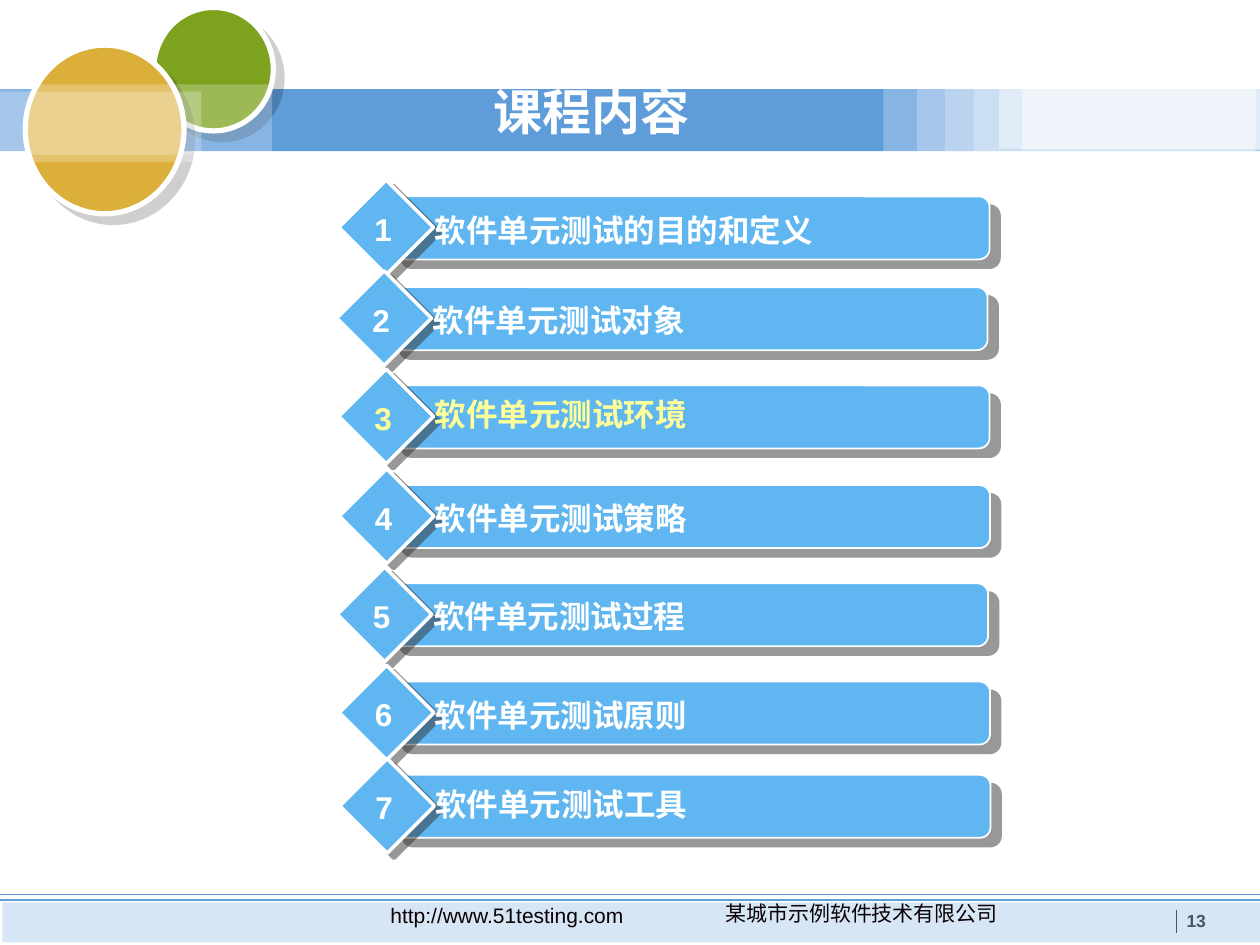
import pptx
import pptx.dml.color
import pptx.enum.shapes
import pptx.enum.text
import pptx.oxml
import pptx.oxml.ns
import pptx.util
from lxml import etree

Cm = pptx.util.Cm
Pt = pptx.util.Pt
Kind = pptx.enum.shapes.MSO_SHAPE
Align = pptx.enum.text.PP_ALIGN
Fit = pptx.enum.text.MSO_AUTO_SIZE
qn = pptx.oxml.ns.qn

COLOURS = {
    "white": "FFFFFF", "band": "5E9CDA", "green": "7CA21E", "gold": "DCAE3A",
    "item": "5FB6F1", "current": "FFFF99", "footer": "0B0104",
    "number": "4A565E", "black": "000000", "shade": "333333",
}
DISC_SHADOW = ("black", 19, 7.1, 45)
BAR_SHADOW = ("shade", 50, 7.8, 40)
DIAMOND_SHADOW = ("shade", 50, 5, 37)

ITEMS = [
    (6.83, 3.63, "软件单元测试的目的和定义", {}),
    (6.79, 5.46, "软件单元测试对象", {"width": 10.62}),
    (6.83, 7.44, "软件单元测试环境", {"colour": "current", "spacing": 0.9}),
    (6.84, 9.45, "软件单元测试策略", {}),
    (6.80, 11.43, "软件单元测试过程", {"width": 10.62}),
    (6.84, 13.41, "软件单元测试原则", {}),
    (6.85, 15.29, "软件单元测试工具", {"spacing": 0.9}),
]


def colour_of(name):
    return pptx.dml.color.RGBColor.from_string(COLOURS[name])


def apply_format(target, values):
    for name, value in values.items():
        setattr(target, name, value)


def add_panel(shapes, kind, box, fill, outline=0, opacity=100, shadow=None):
    panel = shapes.add_shape(kind, *map(Cm, box))
    panel.fill.solid()
    panel.fill.fore_color.rgb = colour_of(fill)
    if outline:
        panel.line.color.rgb = colour_of("white")
        panel.line.width = Pt(outline)
    else:
        panel.line.fill.background()
    panel.shadow.inherit = False
    if opacity < 100:
        tint = panel.element.spPr.find(qn("a:solidFill"))[0]
        etree.SubElement(tint, qn("a:alpha"), val=str(opacity * 1000))
    if shadow:
        shade, strength, distance, angle = shadow
        effects = panel.element.spPr.find(qn("a:effectLst"))
        outer = etree.SubElement(
            effects, qn("a:outerShdw"), blurRad="0", dist=str(int(Pt(distance))),
            dir=str(angle * 60000), algn="ctr", rotWithShape="0")
        tint = etree.SubElement(outer, qn("a:srgbClr"), val=COLOURS[shade])
        etree.SubElement(tint, qn("a:alpha"), val=str(strength * 1000))
    return panel


def add_rule(shapes, start, end, colour):
    rule = shapes.add_connector(
        pptx.enum.shapes.MSO_CONNECTOR.STRAIGHT, *map(Cm, start + end))
    rule.line.color.rgb = colour_of(colour)
    rule.line.width = Pt(0.75)
    etree.SubElement(rule.element.spPr, qn("a:effectLst"))


def write_text(box, text, size, colour, bold=True, align=Align.LEFT, spacing=1):
    para = box.text_frame.paragraphs[0]
    apply_format(para, {"alignment": align, "line_spacing": spacing})
    span = para.add_run()
    span.text = text
    apply_format(span.font, {"name": "Arial", "size": Pt(size), "bold": bold})
    span.font.color.rgb = colour_of(colour)


def add_label(shapes, box, text, size, colour, wrap=True, **style):
    label = shapes.add_textbox(*map(Cm, box))
    apply_format(label.text_frame, {"word_wrap": wrap, "auto_size": Fit.SHAPE_TO_FIT_TEXT})
    write_text(label, text, size, colour, **style)


def add_header(page, left, top):
    shapes = page.shapes
    add_panel(shapes, Kind.RECTANGLE, (left, top + 1.8, 25.4, 1.25), "band")
    add_panel(shapes, Kind.OVAL, (left + 3.1, top + 0.15, 2.41, 2.49), "green", 3,
              shadow=DISC_SHADOW)
    for x, y, width, height, opacity in [
        (17.81, 1.73, 7.49, 1.42, 25), (18.49, 1.78, 6.91, 1.45, 25),
        (19.05, 1.75, 6.35, 1.45, 25), (19.63, 1.8, 5.69, 1.25, 25),
        (20.14, 1.75, 5.26, 1.25, 40), (20.6, 1.78, 4.8, 1.25, 48),
    ]:
        add_panel(shapes, Kind.RECTANGLE, (left + x, top + y, width, height),
                  "white", opacity=opacity)
    add_panel(shapes, Kind.OVAL, (left + 0.51, top + 0.91, 3.2, 3.4), "gold", 3,
              shadow=DISC_SHADOW)
    for y, width in [(1.7, 5.49), (1.85, 4.06)]:
        add_panel(shapes, Kind.RECTANGLE, (left, top + y, width, 1.42),
                  "white", opacity=25)


def add_footer(page, left, top):
    shapes = page.shapes
    add_panel(shapes, Kind.RECTANGLE, (left + 0.05, top + 0.16, 25.35, 0.81),
              "band", opacity=25)
    for y in (0, 0.11):
        add_rule(shapes, (left, top + y), (left + 25.4, top + y), "band")
    add_rule(shapes, (left + 23.72, top + 0.31), (left + 23.72, top + 0.77), "number")
    for x, y, width, text in [
        (12.9, 0, 8.94, "某城市示例软件技术有限公司"),
        (6.07, 0.03, 8.31, "http://www.51testing.com"),
    ]:
        add_label(shapes, (left + x, top + y, width, 0.76), text, 12, "footer",
                  bold=False, align=Align.CENTER)
    add_label(shapes, (left + 23.67, top + 0.2, 1.22, 0.69), "13", 10, "number")


def place_title(page, box):
    title = page.shapes.title
    apply_format(title, dict(zip(("left", "top", "width", "height"), map(Cm, box))))
    apply_format(title.text_frame, {
        "vertical_anchor": pptx.enum.text.MSO_ANCHOR.MIDDLE,
        "word_wrap": True, "auto_size": Fit.NONE})
    write_text(title, "课程内容", 28, "white", spacing=0.9)
    page.shapes.element.append(title.element)


def add_item(page, left, top, number, text, width=9.53, colour="white", spacing=1):
    shapes = page.shapes.add_group_shape().shapes
    bar = add_panel(shapes, Kind.ROUNDED_RECTANGLE, (left + 1.05, top + 0.33, 12.07, 1.27),
                    "item", 1, shadow=BAR_SHADOW)
    bar.adjustments[0] = 0.17
    add_panel(shapes, Kind.DIAMOND, (left, top, 1.91, 1.91), "item", 2,
              shadow=DIAMOND_SHADOW)
    height = 1.02 if spacing == 1 else 0.94
    add_label(shapes, (left + 1.68, top + 0.49, width, height), text, 18, colour,
              spacing=spacing)
    add_label(shapes, (left + 0.47, top + 0.48, 0.86, 1.02), str(number), 18, colour,
              wrap=False)


def main():
    deck = pptx.Presentation()
    apply_format(deck, {"slide_width": Cm(25.4), "slide_height": Cm(19.05)})
    page = deck.slides.add_slide(deck.slide_layouts[5])
    add_header(page, 0, 0)
    add_footer(page, 0, 18.03)
    place_title(page, (9.7, 0.99, 5.72, 2.64))
    for number, (left, top, text, options) in enumerate(ITEMS, 1):
        add_item(page, left, top, number, text, **options)
    deck.save("out.pptx")


if __name__ == "__main__":
    main()
